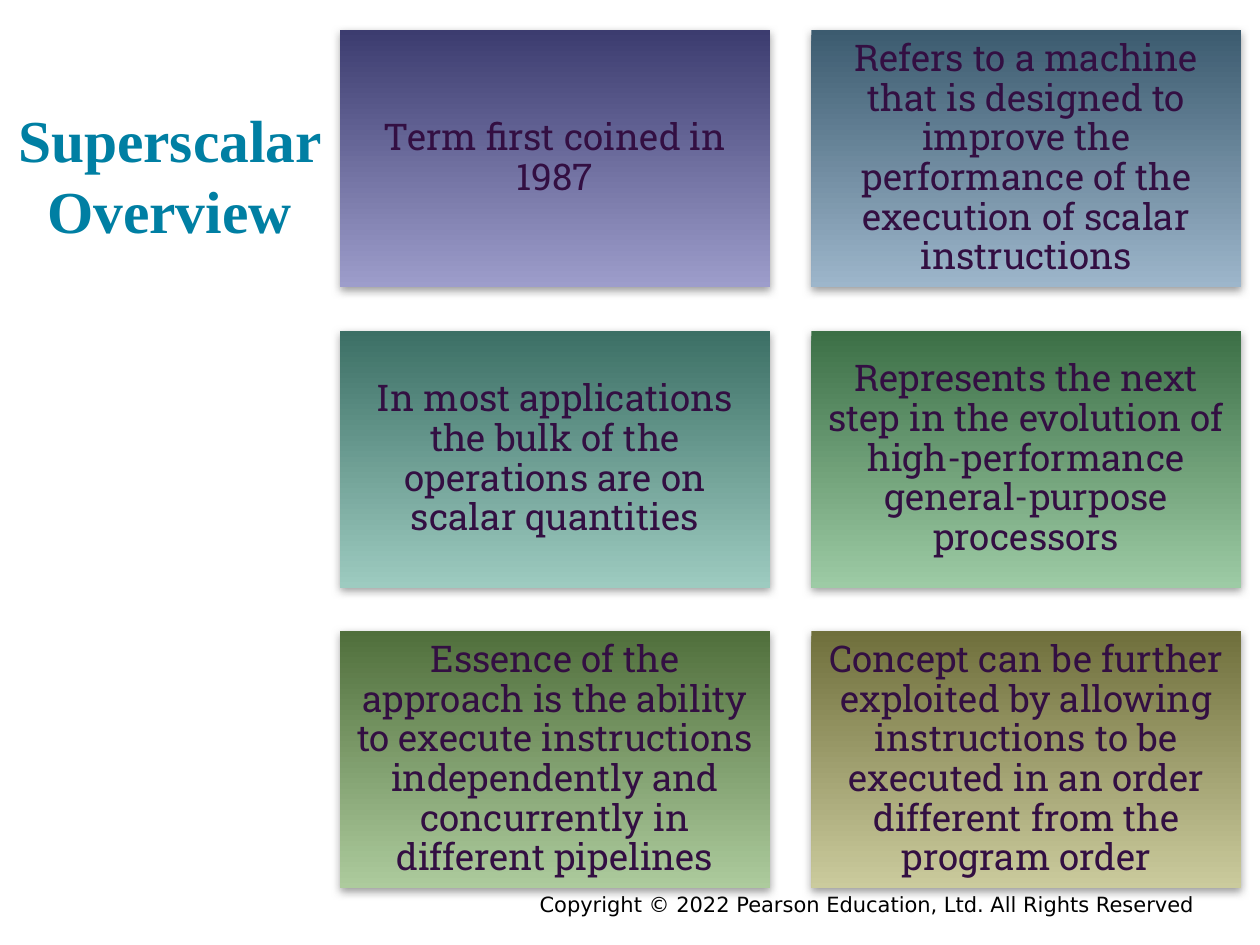
from lxml import etree
from pptx import Presentation
from pptx.dml.color import RGBColor
from pptx.enum.shapes import MSO_SHAPE
from pptx.enum.text import MSO_ANCHOR as Anchor, MSO_AUTO_SIZE as AutoSize, PP_ALIGN as Align
from pptx.oxml import parse_xml
from pptx.oxml.ns import nsdecls
from pptx.util import Inches, Pt


def color(hex_string):
    return RGBColor.from_string(hex_string)


def write(shape, text, font, size, hex_string, align, anchor, inset_x, inset_y):
    frame = shape.text_frame
    frame.word_wrap = True
    frame.auto_size = AutoSize.NONE
    frame.vertical_anchor = anchor
    frame.margin_left = frame.margin_right = Inches(inset_x)
    frame.margin_top = frame.margin_bottom = Inches(inset_y)
    para = frame.paragraphs[0]
    para.alignment = align
    span = para.add_run()
    span.text = text
    span.font.name = font
    span.font.size = Pt(size)
    span.font.color.rgb = color(hex_string)
    return para


deck = Presentation()
deck.slide_width = Inches(10)
deck.slide_height = Inches(7.5)
page = deck.slides.add_slide(deck.slide_layouts[5])

footer = page.shapes.add_textbox(Inches(1.75), Inches(7.03), Inches(7.83), Inches(0.22))
write(footer, "Copyright © 2022 Pearson Education, Ltd. All Rights Reserved",
      "DejaVu Sans", 12, "000000", Align.RIGHT, Anchor.TOP, 0.1, 0.05)

cards = [
    ("Term first coined in 1987", "3C3C6F", "9D9DCB"),
    ("Refers to a machine that is designed to improve the performance of the "
     "execution of scalar instructions", "3C5B6F", "9DB6CB"),
    ("In most applications the bulk of the operations are on scalar quantities",
     "3C6F65", "9DCBC0"),
    ("Represents the next step in the evolution of high-performance "
     "general-purpose processors", "3C6F46", "9DCBA5"),
    ("Essence of the approach is the ability to execute instructions independently "
     "and concurrently in different pipelines", "506F3C", "ADCB9D"),
    ("Concept can be further exploited by allowing instructions to be executed in "
     "an order different from the program order", "6F6F3C", "CBCB9D"),
]
shadow_xml = (
    f'<a:outerShdw {nsdecls("a")} blurRad="{Pt(5)}" dist="{Pt(2)}" dir="5400000" '
    'rotWithShape="0"><a:srgbClr val="808080"><a:alpha val="75000"/></a:srgbClr>'
    '</a:outerShdw>'
)

for index, (text, top_color, bottom_color) in enumerate(cards):
    row, column = divmod(index, 2)
    card = page.shapes.add_shape(
        MSO_SHAPE.RECTANGLE,
        Inches(2.7 + 3.74 * column), Inches(0.24 + 2.385 * row),
        Inches(3.41), Inches(2.04))
    card.line.fill.background()
    card.fill.gradient()
    card.fill.gradient_angle = 270
    for stop, hex_string, position in zip(
            card.fill.gradient_stops, (top_color, bottom_color), (0, 1)):
        stop.color.rgb = color(hex_string)
        stop.position = position
    card.shadow.inherit = False
    effects = card._element.spPr.find("{*}effectLst")
    effects.append(parse_xml(shadow_xml))
    para = write(card, text, "Roboto Slab", 21, "330F42",
                 Align.CENTER, Anchor.MIDDLE, 0.09, 0.09)
    para.line_spacing = 0.9

title = page.shapes.title
title.left, title.top = Inches(0), Inches(0)
title.width, title.height = Inches(2.69), Inches(2.05)
para = write(title, "Superscalar Overview", "Times New Roman", 34, "007FA3",
             Align.CENTER, Anchor.BOTTOM, 0.1, 0.1)
para.runs[0].font.bold = True

deck.save("out.pptx")
